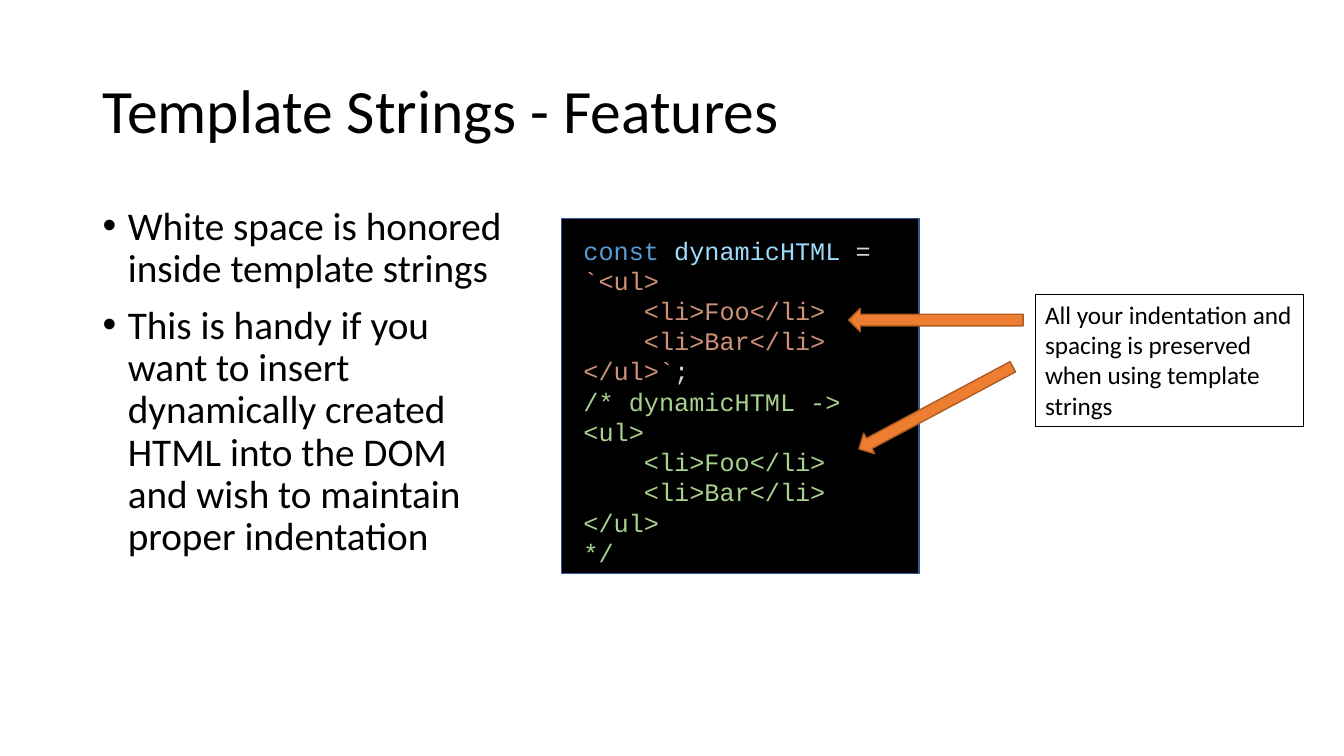
import pptx
import pptx.util
import pptx.dml.color
import pptx.enum.shapes
import pptx.enum.text
import pptx.oxml
import pptx.oxml.ns

Pt = pptx.util.Pt
SHAPES = pptx.enum.shapes.MSO_SHAPE
ANCHOR = pptx.enum.text.MSO_ANCHOR
ALIGN = pptx.enum.text.PP_ALIGN


def color(value):
    return pptx.dml.color.RGBColor.from_string(value)


def apply(target, values):
    for name, value in values.items():
        setattr(target, name, value)


class SlideBuilder:
    """Holds the style and the current slide."""
    BLACK, ORANGE, ORANGE_EDGE, BLUE_EDGE = "000000", "ED7D31", "AF5C24", "325491"
    BODY_FONT, CODE_FONT = "Calibri", "Courier New"

    def __init__(self, slide):
        self.slide = slide

    def shape(self, preset, box, fill=None, line=BLACK, width=1, rotation=0):
        item = self.slide.shapes.add_shape(preset, *map(Pt, box))
        item.shadow.inherit = False
        item.rotation = rotation
        if fill:
            item.fill.solid()
            item.fill.fore_color.rgb = color(fill)
        else:
            item.fill.background()
        item.line.color.rgb = color(line)
        item.line.width = Pt(width)
        return item

    def text_box(self, box):
        return self.slide.shapes.add_textbox(*map(Pt, box))

    def add_text(self, holder, paragraphs, size, font=BODY_FONT, anchor=ANCHOR.TOP,
                 bullet=False, **spacing):
        """Each paragraph is (left indent, [(text, color), ...])."""
        frame = holder.text_frame
        apply(frame, {"word_wrap": True, "vertical_anchor": anchor})
        for index, (indent, runs) in enumerate(paragraphs):
            paragraph = frame.add_paragraph() if index else frame.paragraphs[0]
            apply(paragraph, {"alignment": ALIGN.LEFT, **spacing})
            properties = paragraph._p.get_or_add_pPr()
            if indent:
                properties.set("marL", str(Pt(indent)))
            if bullet:
                properties.set("indent", str(-Pt(indent)))
                for tag, key, value in (("buFont", "typeface", "Arial"),
                                        ("buChar", "char", "•")):
                    mark = pptx.oxml.parse_xml(
                        f'<a:{tag} {pptx.oxml.ns.nsdecls("a")} {key}="{value}"/>')
                    properties.append(mark)
            for text, shade in runs:
                run = paragraph.add_run()
                run.text = text
                apply(run.font, {"name": font, "size": Pt(size)})
                run.font.color.rgb = color(shade)


deck = pptx.Presentation()
apply(deck, {"slide_width": Pt(960), "slide_height": Pt(540)})
page = SlideBuilder(deck.slides.add_slide(deck.slide_layouts[6]))

# Code panel
page.shape(SHAPES.RECTANGLE, (401, 156.2, 255.6, 253.4), page.BLACK, page.BLUE_EDGE)

# Title and points
page.add_text(page.text_box((66.2, 28.8, 828, 104.4)),
              [(0, [("Template Strings - Features", page.BLACK)])],
              44, anchor=ANCHOR.MIDDLE, line_spacing=0.9)
points = [
    "White space is honored inside template strings",
    "This is handy if you want to insert dynamically created HTML into the DOM "
    "and wish to maintain proper indentation",
]
page.add_text(page.text_box((66.2, 144, 301, 342.7)),
              [(18, [(point, page.BLACK)]) for point in points],
              28, bullet=True, line_spacing=0.9, space_before=Pt(10))

# Code: list items are indented by four characters
KEYWORD, VARIABLE, PLAIN, STRING, COMMENT = "569CD6", "9CDCFE", "D4D4D4", "CE9178", "A9D18E"
CODE_INDENT = 43.2


def list_items(shade):
    return [(CODE_INDENT, [(f"<li>{name}</li>", shade)]) for name in ("Foo", "Bar")]


code = [
    (0, [("const ", KEYWORD), ("dynamicHTML", VARIABLE), (" = ", PLAIN)]),
    (0, [("`<ul>", STRING)]),
    *list_items(STRING),
    (0, [("</ul>`", STRING), (";", PLAIN)]),
    (0, [("/* dynamicHTML ->", COMMENT)]),
    (0, [("<ul>", COMMENT)]),
    *list_items(COMMENT),
    (0, [("</ul>", COMMENT)]),
    (0, [("*/", COMMENT)]),
]
page.add_text(page.text_box((409.7, 164.2, 480.2, 247)), code, 18, page.CODE_FONT)

# Callout with arrows to both indented blocks
callout = page.shape(SHAPES.RECTANGLE, (739.4, 210.2, 191.5, 94.3), width=0.75)
page.add_text(callout, [(0, [("All your indentation and spacing is preserved when using "
                              "template strings", page.BLACK)])], 18)
for top, rotation in ((166.3, 270), (229, 241.9)):
    page.shape(SHAPES.UP_ARROW, (660.2, top, 16.6, 124.6), page.ORANGE,
               page.ORANGE_EDGE, rotation=rotation)

deck.save("out.pptx")
